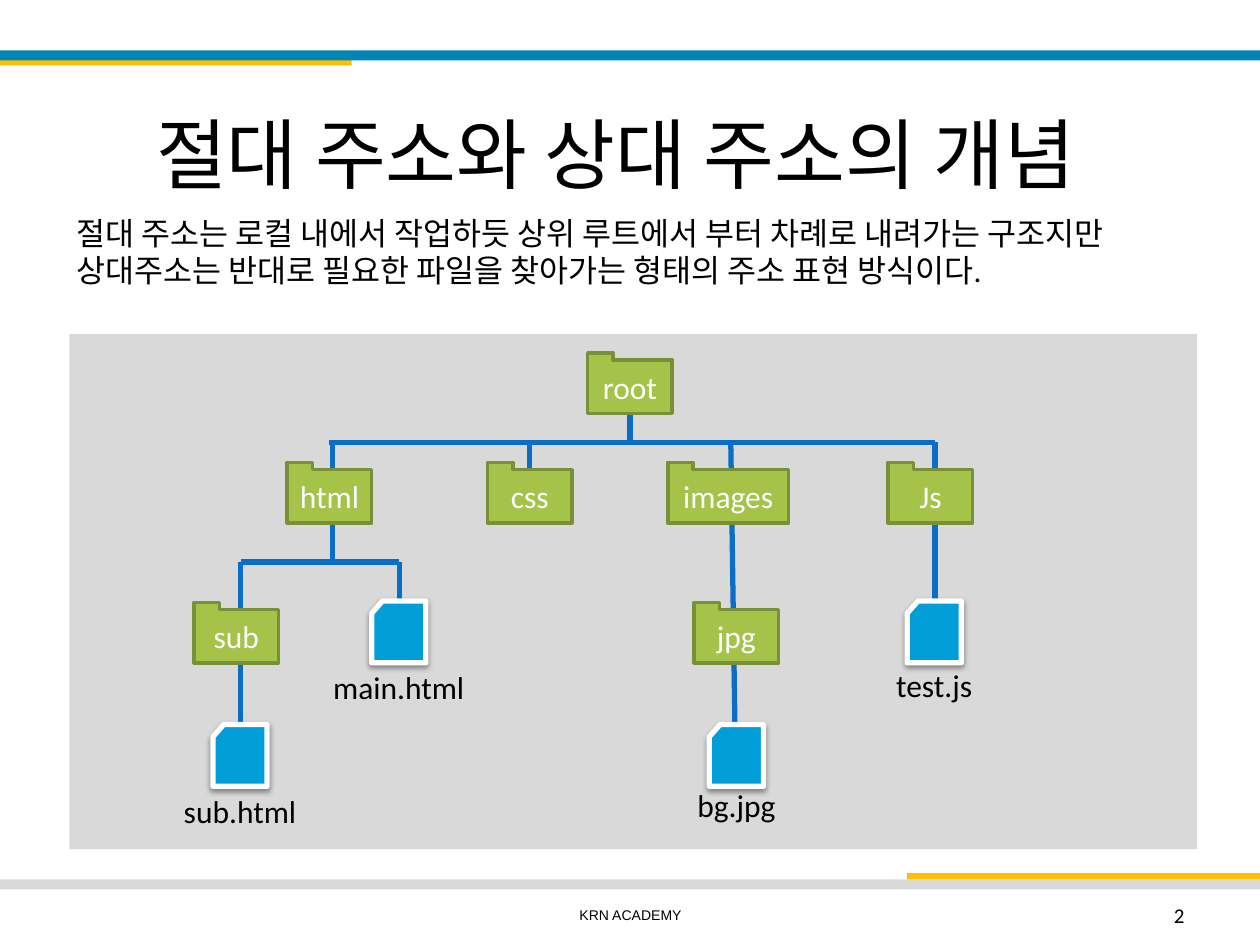
from dataclasses import dataclass

from lxml import etree
from pptx import Presentation
from pptx.dml.color import RGBColor
from pptx.enum import shapes, text
from pptx.oxml import ns
from pptx import util as u

COLUMNS, ROWS = 100, 75
WIDTH, HEIGHT = u.Inches(10), u.Inches(7.5)


@dataclass(frozen=True)
class Theme:
    """Colours, fonts and type sizes of the slide."""
    black: str = "000000"
    white: str = "FFFFFF"
    gold: str = "FFC000"
    teal: str = "0085B4"
    grey: str = "D9D9D9"
    branch: str = "0A6DC6"
    folder: str = "A5C249"
    folder_edge: str = "7A9036"
    file: str = "009DD9"
    latin: str = "Calibri"
    korean: str = "Noto Sans CJK KR"
    footer_font: str = "Arial"
    title_size: int = 44
    body_size: int = 18
    number_size: int = 12
    footer_size: int = 8


THEME = Theme()
BANDS = [
    (0, 4.7, 27.9, 0.5, THEME.gold),
    (0, 4, 100, 0.8, THEME.teal),
    (0, 69.8, 100, 0.8, THEME.grey),
    (72, 69.3, 28, 0.5, THEME.gold),
    (5.5, 26.5, 89.5, 40.9, THEME.grey),
]
BRANCHES = [
    (50, 32.8, 50, 35.1),
    (26.1, 35.1, 74.2, 35.1),
    (26.4, 35.1, 26.4, 44.6),
    (42, 35.1, 42, 39.1),
    (58, 35.2, 58.4, 62.4),
    (74.2, 35.1, 74.2, 47.7),
    (19.1, 44.6, 31.7, 44.6),
    (19.1, 44.6, 19.1, 57.5),
    (31.7, 44.6, 31.7, 47.7),
]
FOLDERS = [
    ("root", 50, 28, 6.7),
    ("html", 26.15, 36.7, 6.7),
    ("images", 57.8, 36.7, 9.6),
    ("css", 42.05, 36.7, 6.7),
    ("Js", 73.85, 36.7, 6.7),
    ("jpg", 58.45, 47.8, 6.7),
    ("sub", 18.75, 47.8, 6.7),
]
FILES = [
    ("main.html", 31.65, 47.7, 52.5),
    ("test.js", 74.15, 47.7, 52.4),
    ("bg.jpg", 58.45, 57.5, 61.9),
    ("sub.html", 19.05, 57.5, 62.4),
]
BODY = [
    "절대 주소는 로컬 내에서 작업하듯 상위 루트에서 부터 차례로 내려가는 구조지만",
    "상대주소는 반대로 필요한 파일을 찾아가는 형태의 주소 표현 방식이다.",
]


def grid(left, top, width, height):
    """Turn columns and rows into slide lengths."""
    column, row = WIDTH / COLUMNS, HEIGHT / ROWS
    return [int(n) for n in (left * column, top * row, width * column, height * row)]


def add_run(paragraph, words, size, font, colour):
    """Append one styled run to a paragraph."""
    run = paragraph.add_run()
    run.text = words
    run.font.size = u.Pt(size)
    run.font.name = font
    run.font.color.rgb = RGBColor.from_string(colour)
    east_asian = etree.SubElement(run.font._element, ns.qn("a:ea"))
    east_asian.set("typeface", THEME.korean)


def add_text(slide, box, lines, size, font=THEME.latin, align=text.PP_ALIGN.CENTER,
             anchor=text.MSO_ANCHOR.MIDDLE, space=0, spacing=None):
    """Add a wrapping text box with one paragraph per line."""
    frame = slide.shapes.add_textbox(*grid(*box)).text_frame
    frame.word_wrap = True
    frame.vertical_anchor = anchor
    for index, line in enumerate(lines):
        paragraph = frame.add_paragraph() if index else frame.paragraphs[0]
        paragraph.alignment = align
        paragraph.space_before = u.Pt(space)
        paragraph.line_spacing = spacing
        add_run(paragraph, line, size, font, THEME.black)


def add_block(slide, kind, box, fill, edge=None, weight=0):
    """Add a flat preset shape, outlined when an edge colour is given."""
    shape = slide.shapes.add_shape(kind, *grid(*box))
    shape.shadow.inherit = False
    shape.fill.solid()
    shape.fill.fore_color.rgb = RGBColor.from_string(fill)
    if edge:
        shape.line.color.rgb = RGBColor.from_string(edge)
        shape.line.width = u.Pt(weight)
    else:
        shape.line.fill.background()
    return shape


def add_branch(slide, start_column, start_row, end_column, end_row):
    """Add one straight line of the tree."""
    points = grid(start_column, start_row, end_column, end_row)
    connector = slide.shapes.add_connector(shapes.MSO_CONNECTOR.STRAIGHT, *points)
    connector.line.color.rgb = RGBColor.from_string(THEME.branch)
    connector.line.width = u.Pt(3)
    etree.SubElement(connector._element.spPr, ns.qn("a:effectLst"))


def add_folder(slide, name, centre, top, width):
    """Add a named folder with a tab at its upper left."""
    shape = add_block(slide, shapes.MSO_SHAPE.CORNER, (centre - width / 2, top, width, 4.8),
                      THEME.folder, THEME.folder_edge, 2)
    shape.adjustments[0], shape.adjustments[1] = 0.88, 0.42
    frame = shape.text_frame
    frame.word_wrap = False
    frame.margin_left = frame.margin_right = 0
    frame.vertical_anchor = text.MSO_ANCHOR.MIDDLE
    frame.paragraphs[0].alignment = text.PP_ALIGN.CENTER
    add_run(frame.paragraphs[0], name, THEME.body_size, THEME.latin, THEME.white)


def add_shadow(shape):
    """Give a shape a soft shadow straight below it."""
    effects = shape._element.spPr.find(ns.qn("a:effectLst"))
    shadow = etree.SubElement(effects, ns.qn("a:outerShdw"), blurRad=str(u.Pt(3.1)),
                              dist=str(u.Pt(1.6)), dir="5400000", rotWithShape="0")
    colour = etree.SubElement(shadow, ns.qn("a:srgbClr"), val=THEME.black)
    etree.SubElement(colour, ns.qn("a:alpha"), val="38000")


def add_file(slide, name, centre, top, label_top):
    """Add a file card and its label."""
    card = add_block(slide, shapes.MSO_SHAPE.FLOWCHART_CARD, (centre - 2.15, top, 4.3, 4.9),
                     THEME.file, THEME.white, 3)
    add_shadow(card)
    add_text(slide, (centre - 6.65, label_top, 13.3, 4), [name], THEME.body_size,
             anchor=text.MSO_ANCHOR.TOP)


def main():
    """Build the slide and save it."""
    presentation = Presentation()
    presentation.slide_width, presentation.slide_height = WIDTH, HEIGHT
    slide = presentation.slides.add_slide(presentation.slide_layouts[6])
    for *box, colour in BANDS:
        add_block(slide, shapes.MSO_SHAPE.RECTANGLE, box, colour)
    add_text(slide, (-1.1, 7.2, 100, 9.9), ["절대 주소와 상대 주소의 개념"],
             THEME.title_size, THEME.korean)
    add_text(slide, (34.2, 70.6, 31.7, 4), ["KRN ACADEMY"], THEME.footer_size, THEME.footer_font)
    add_text(slide, (71.7, 70.6, 23.3, 4), ["2"], THEME.number_size, align=text.PP_ALIGN.RIGHT)
    add_text(slide, (5.1, 17, 89.9, 8.7), BODY, THEME.body_size, align=text.PP_ALIGN.LEFT,
             anchor=text.MSO_ANCHOR.TOP, space=3.6, spacing=0.82)
    for branch in BRANCHES:
        add_branch(slide, *branch)
    for folder in FOLDERS:
        add_folder(slide, *folder)
    for file in FILES:
        add_file(slide, *file)
    presentation.save("out.pptx")


if __name__ == "__main__":
    main()
